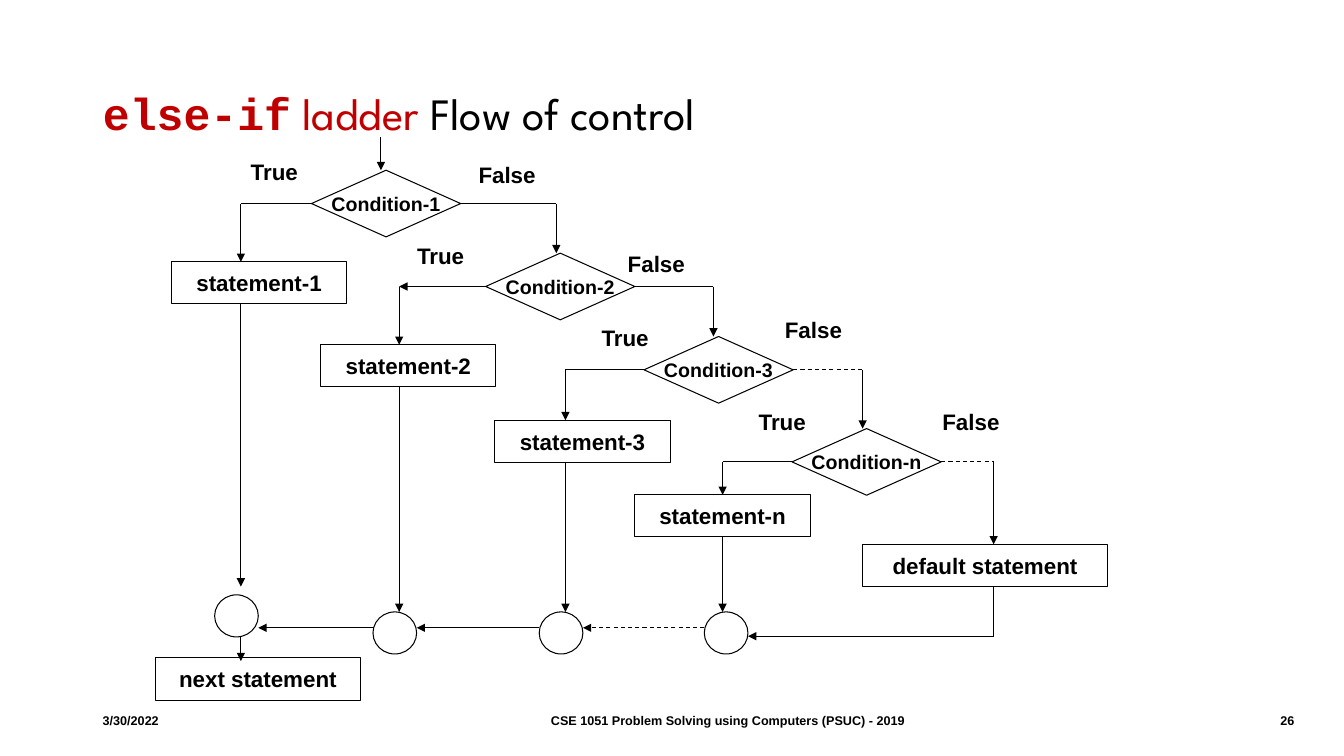
import pptx
import pptx.util
import pptx.dml.color
import pptx.enum.dml
import pptx.enum.shapes
import pptx.enum.text
import pptx.oxml
import pptx.oxml.ns

Cm = pptx.util.Cm
Pt = pptx.util.Pt
RGB = pptx.dml.color.RGBColor
KIND = pptx.enum.shapes.MSO_SHAPE
ALIGN = pptx.enum.text.PP_ALIGN
MIDDLE = pptx.enum.text.MSO_ANCHOR.MIDDLE
DASH = pptx.enum.dml.MSO_LINE.DASH

BLACK = RGB(0, 0, 0)
WHITE = RGB(255, 255, 255)
RED = RGB(192, 0, 0)

# Content (lengths in cm)
TITLE = [("else-if", "Courier New", True, RED),
         (" ladder ", "League Spartan", False, RED),
         ("Flow of control", "League Spartan", False, BLACK)]
FOOTER = [("3/30/2022", 2.34, 3.2, ALIGN.LEFT),
          ("CSE 1051 Problem Solving using Computers (PSUC) - 2019",
           6.15, 24.38, ALIGN.CENTER),
          ("26", 31.55, 1.32, ALIGN.RIGHT)]
# name, condition, statement, True label, False label,
# x of True branch, x of False branch, ring
STEPS = [
    ("1", (7.85, 4.29), (4.32, 6.6), (6.07, 3.86), (11.81, 3.94),
     6.07, 14.02, (5.41, 14.99)),
    ("2", (12.24, 6.38), (8.08, 8.69), (10.26, 5.97), (15.57, 6.17),
     10.06, 17.98, (9.4, 15.42)),
    ("3", (16.23, 8.48), (12.47, 10.59), (14.91, 8.05), (19.53, 7.85),
     14.25, 21.74, (13.59, 15.42)),
    ("n", (19.96, 10.8), (16, 12.47), (18.87, 10.16), (23.5, 10.16),
     18.21, 25.04, (17.75, 15.42)),
]
DEFAULT = ("default statement", 21.74, 13.72, 6.17, 1.06)
NEXT = ("next statement", 3.91, 16.56, 5.18, 1.09)
COND_W, COND_H = 3.76, 1.68
STMT_W, STMT_H = 4.42, 1.06
RING_W, RING_H = 1.1, 1.06
MERGE_Y, BACK_Y = 15.82, 16.03

deck = pptx.Presentation()
deck.slide_width, deck.slide_height = Cm(33.87), Cm(19.05)
slide = deck.slides.add_slide(deck.slide_layouts[5])
shapes = slide.shapes


def style(run, size, face="Arial", bold=True, color=BLACK):
    run.font.size = Pt(size)
    run.font.name = face
    run.font.bold = bold
    run.font.color.rgb = color


def write(shape, text, size, align):
    para = shape.text_frame.paragraphs[0]
    para.text = text
    para.alignment = align
    style(para.runs[0], size)


def node(kind, x, y, w, h, text="", size=16):
    shape = shapes.add_shape(kind, Cm(x), Cm(y), Cm(w), Cm(h))
    shape.shadow.inherit = False
    shape.fill.solid()
    shape.fill.fore_color.rgb = WHITE
    shape.line.color.rgb = BLACK
    shape.line.width = Pt(0.75)
    if text:
        shape.text_frame.word_wrap = False
        shape.text_frame.vertical_anchor = MIDDLE
        write(shape, text, size, ALIGN.CENTER)
    return shape


def label(text, x, y, w, h, size=16, align=ALIGN.LEFT, wrap=False):
    box = shapes.add_textbox(Cm(x), Cm(y), Cm(w), Cm(h))
    box.text_frame.word_wrap = wrap
    if wrap:
        box.text_frame.vertical_anchor = MIDDLE
    write(box, text, size, align)


def link(x1, y1, x2, y2, head=True, dash=False, start=None, end=None):
    line = shapes.add_connector(pptx.enum.shapes.MSO_CONNECTOR.STRAIGHT,
                                Cm(x1), Cm(y1), Cm(x2), Cm(y2))
    line.line.color.rgb = BLACK
    line.line.width = Pt(0.75)
    if dash:
        line.line.dash_style = DASH
    if head:
        tip = pptx.oxml.parse_xml(
            '<a:tailEnd %s type="triangle"/>' % pptx.oxml.ns.nsdecls("a"))
        line.line._get_or_add_ln().append(tip)
    line._element.spPr.append(pptx.oxml.parse_xml(
        "<a:effectLst %s/>" % pptx.oxml.ns.nsdecls("a")))
    if start:
        line.begin_connect(*start)
    if end:
        line.end_connect(*end)


# Title
title = shapes.title
title.left, title.top, title.width, title.height = (
    Cm(2.34), Cm(2.03), Cm(19.94), Cm(1.63))
title.text_frame.auto_size = pptx.enum.text.MSO_AUTO_SIZE.NONE
title.text_frame.vertical_anchor = MIDDLE
head = title.text_frame.paragraphs[0]
head.alignment = ALIGN.LEFT
for text, face, bold, color in TITLE:
    run = head.add_run()
    run.text = text
    style(run, 32, face, bold, color)

# Final boxes and entry arrow
node(KIND.RECTANGLE, *DEFAULT[1:], DEFAULT[0])
node(KIND.RECTANGLE, *NEXT[1:], NEXT[0])
link(9.6, 3.45, 9.6, 4.29)

# Ladder steps
last = len(STEPS) - 1
for i, (name, cond, stmt, yes, no, left, right, ring) in enumerate(STEPS):
    (cx, cy), (sx, sy), (rx, ry) = cond, stmt, ring
    mid = cy + COND_H / 2
    test = node(KIND.FLOWCHART_DECISION, cx, cy, COND_W, COND_H,
                "Condition-" + name, 14)
    box = node(KIND.RECTANGLE, sx, sy, STMT_W, STMT_H, "statement-" + name)
    node(KIND.OVAL, rx, ry, RING_W, RING_H)
    label("True", *yes, 1.73, 0.94)
    label("False", *no, 1.98, 0.94)

    # True branch down to the ring
    centred = abs(left - sx - STMT_W / 2) < 0.01
    link(cx, mid, left, mid, head=name == "2", start=(test, 1))
    link(left, mid, left, sy, end=(box, 0) if centred else None)
    link(left, sy + STMT_H, left, ry if i else 14.78,
         start=(box, 2) if centred else None)

    # False branch to the next condition or the default
    below = STEPS[i + 1][1][1] if i < last else DEFAULT[2]
    link(cx + COND_W, mid, right, mid, head=False, dash=i >= 2,
         start=(test, 3))
    link(right, mid, right, below)

    # Ring back to the one before
    if i:
        link(rx, MERGE_Y, STEPS[i - 1][7][0] + RING_W, MERGE_Y,
             dash=i == last)

# Way back from the default and on to the next statement
out, ring = STEPS[last][6:]
link(out, DEFAULT[2] + DEFAULT[4], out, BACK_Y, head=False)
link(out, BACK_Y, ring[0] + RING_W, BACK_Y)
link(STEPS[0][5], BACK_Y, STEPS[0][5], 16.66)

# Footer
for text, x, w, align in FOOTER:
    label(text, x, 17.65, w, 1.02, 9, align, True)

deck.save("out.pptx")
